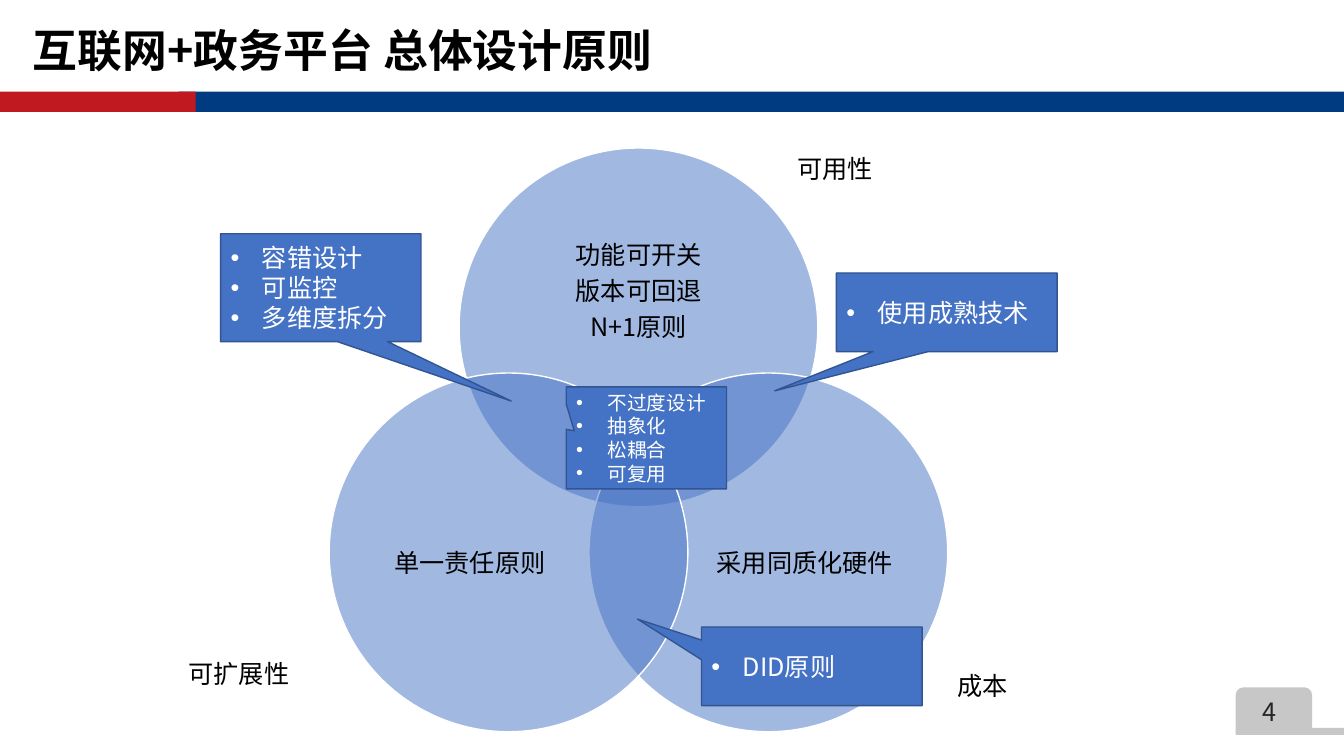
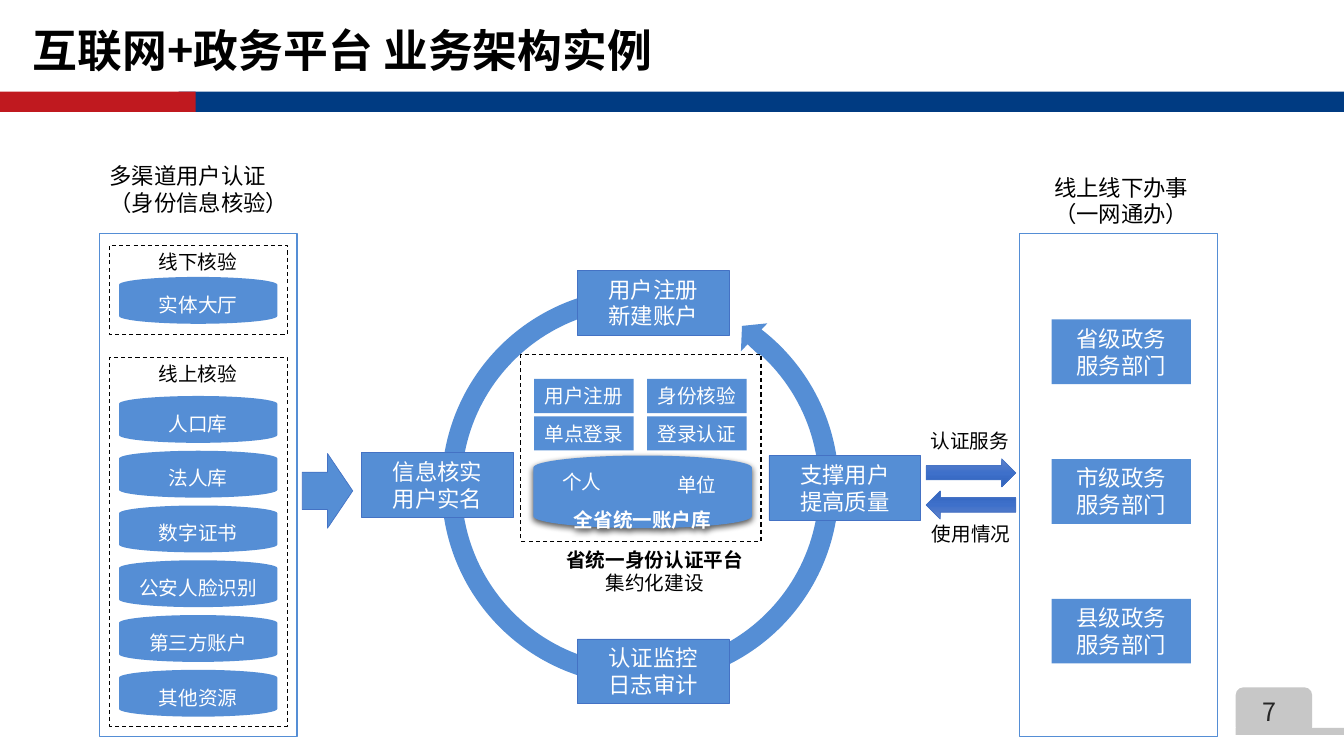
from copy import deepcopy
from dataclasses import dataclass
from math import cos, radians, sin

from lxml import etree
from pptx import Presentation
from pptx.dml.color import RGBColor
from pptx.enum.dml import MSO_LINE
from pptx.enum.shapes import MSO_SHAPE
from pptx.enum.text import MSO_ANCHOR, PP_ALIGN
from pptx.oxml.ns import qn
from pptx.util import Cm, Pt

RECTANGLE = MSO_SHAPE.RECTANGLE
ROUNDED = MSO_SHAPE.ROUNDED_RECTANGLE
DISK = MSO_SHAPE.FLOWCHART_MAGNETIC_DISK
CALLOUT = MSO_SHAPE.RECTANGULAR_CALLOUT
RIGHT_ARROW = MSO_SHAPE.RIGHT_ARROW
DASH = MSO_LINE.DASH
LEFT, CENTER = PP_ALIGN.LEFT, PP_ALIGN.CENTER
TOP, MIDDLE = MSO_ANCHOR.TOP, MSO_ANCHOR.MIDDLE


@dataclass(frozen=True)
class Theme:
    font: str = "Noto Sans CJK SC"
    ink: str = "000000"
    white: str = "FFFFFF"
    number: str = "262626"
    red: str = "C0191F"
    navy: str = "003B82"
    gray: str = "C7C7C7"
    blue: str = "4472C4"
    blue_edge: str = "325491"
    sky: str = "558ED5"
    flow: tuple = ("6183CB", "3E70CA", "3062BB")
    title: int = 32
    body: int = 18
    label: int = 16
    small: int = 14


THEME = Theme()


def draw(page, preset, at, fill=None, line=None, line_width=0.5, dash=None):
    """Add a preset shape, or a text box when preset is None; at is in cm."""
    place = [Cm(value) for value in at]
    if preset is None:
        return page.shapes.add_textbox(*place)
    shape = page.shapes.add_shape(preset, *place)
    shape.shadow.inherit = False
    if fill:
        shape.fill.solid()
        shape.fill.fore_color.rgb = RGBColor.from_string(fill)
    else:
        shape.fill.background()
    if line:
        shape.line.color.rgb = RGBColor.from_string(line)
        shape.line.width = Pt(line_width)
        if dash:
            shape.line.dash_style = dash
    else:
        shape.line.fill.background()
    return shape


def write(shape, lines, size, color=THEME.ink, align=CENTER, anchor=MIDDLE,
          bold_lines=0, wrap=True, spacing=None, after=None, bullet=False):
    """Fill a shape with one paragraph per line; the first bold_lines are bold."""
    frame = shape.text_frame
    frame.word_wrap = wrap
    frame.vertical_anchor = anchor
    for index, line in enumerate(lines):
        para = frame.add_paragraph() if index else frame.paragraphs[0]
        para.alignment = align
        if spacing:
            para.line_spacing = spacing
        if after:
            para.space_after = Pt(after)
        if bullet:
            properties = para._p.get_or_add_pPr()
            properties.set("marL", str(Cm(0.79)))
            properties.set("indent", str(-Cm(0.79)))
            etree.SubElement(properties, qn("a:buFont")).set("typeface", "Arial")
            etree.SubElement(properties, qn("a:buChar")).set("char", "•")
        span = para.add_run()
        span.text = line
        span.font.size = Pt(size)
        span.font.bold = index < bold_lines
        span.font.color.rgb = RGBColor.from_string(color)
        span.font.name = THEME.font
        east_asian = etree.SubElement(span._r.get_or_add_rPr(), qn("a:ea"))
        east_asian.set("typeface", THEME.font)


deck = Presentation()
deck.slide_width, deck.slide_height = Cm(33.87), Cm(19.05)

# Shared bands, page tab and title
pages = []
for title, number in [("互联网+政务平台 总体设计原则", "4"),
                      ("互联网+政务平台 业务架构实例", "7")]:
    page = deck.slides.add_slide(deck.slide_layouts[6])
    draw(page, RECTANGLE, (4.5, 2.31, 29.37, 0.51), THEME.navy)
    draw(page, RECTANGLE, (0, 2.31, 4.93, 0.51), THEME.red)
    draw(page, ROUNDED, (31.14, 17.32, 1.93, 1.19), THEME.gray)
    draw(page, RECTANGLE, (31.14, 18.34, 2.73, 0.18), THEME.gray)
    write(draw(page, None, (31.07, 17.42, 1.85, 1.02)), [number], THEME.body, THEME.number)
    write(draw(page, None, (0.58, 0.43, 27.08, 1.63)), [title], THEME.title,
          align=LEFT, bold_lines=1)
    pages.append(page)
principles, architecture = pages

# Design principles: three circles around a common centre
DIAMETER, REACH = 9.04, 3.78
CENTER_X, CENTER_Y = 16.09, 12.03
circles = [
    (-90, (12.78, 5.33, 6.63, 4.06), ["功能可开关", "版本可回退", "N+1原则"]),
    (30, (17.58, 11.73, 5.41, 4.98), ["采用同质化硬件"]),
    (150, (9.14, 11.73, 5.41, 4.98), ["单一责任原则"]),
]
for angle, text_at, lines in circles:
    left = CENTER_X + REACH * cos(radians(angle)) - DIAMETER / 2
    top = CENTER_Y + REACH * sin(radians(angle)) - DIAMETER / 2
    circle = draw(principles, MSO_SHAPE.OVAL, (left, top, DIAMETER, DIAMETER),
                  THEME.blue, THEME.white, 1)
    color = circle.element.spPr.find(qn("a:solidFill"))[0]
    etree.SubElement(color, qn("a:alpha")).set("val", "50000")
    box = draw(principles, None, text_at)
    frame = box.text_frame
    frame.margin_left = frame.margin_right = frame.margin_top = frame.margin_bottom = 0
    write(box, lines, THEME.body, spacing=0.9, after=6.3)

for left, top, name in [(23.88, 16.76, "成本"), (19.84, 3.73, "可用性"),
                        (4.5, 16.46, "可扩展性")]:
    write(draw(principles, None, (left, top, 3.78, 1.02)), [name], THEME.body, align=LEFT)

callouts = [
    ((5.56, 5.89, 5.05, 2.72), (0.95, 1.05), THEME.body, ["容错设计", "可监控", "多维度拆分"]),
    ((21.08, 6.88, 5.56, 1.98), (-0.78, 1), THEME.body, ["使用成熟技术"]),
    ((17.68, 15.8, 5.56, 1.98), (-0.79, -0.6), THEME.body, ["DID原则"]),
    ((14.27, 9.75, 4.04, 2.57), (-0.45, -0.07), THEME.small,
     ["不过度设计", "抽象化", "松耦合", "可复用"]),
]
for at, tip, size, lines in callouts:
    callout = draw(principles, CALLOUT, at, THEME.blue, THEME.blue_edge, 1)
    callout.adjustments[0], callout.adjustments[1] = tip
    write(callout, lines, size, THEME.white, LEFT, bullet=True)

# Business architecture: ring with its arrowhead
arrowhead = draw(architecture, MSO_SHAPE.DOWN_ARROW, (18.52, 8.08, 0.97, 0.84), THEME.sky)
arrowhead.rotation = 133.3
ring = draw(architecture, MSO_SHAPE.BLOCK_ARC, (11.13, 7.26, 10.01, 10.01), THEME.sky)
ring.rotation = 270
for index, value in enumerate((22.27, 207.47, 0.05)):
    ring.adjustments[index] = value

steps = [
    (9.12, 11.4, ["信息核实", "用户实名"]),
    (19.38, 11.48, ["支撑用户", "提高质量"]),
    (14.55, 16.1, ["认证监控", "日志审计"]),
    (14.55, 6.81, ["用户注册", "新建账户"]),
]
for left, top, lines in steps:
    step = draw(architecture, RECTANGLE, (left, top, 3.82, 1.63), THEME.sky, THEME.blue)
    write(step, lines, THEME.label, THEME.white)

# Side columns and dashed frames
for left in (2.51, 25.7):
    draw(architecture, RECTANGLE, (left, 5.88, 4.98, 12.68), line=THEME.sky, line_width=1)
for at in [(2.76, 6.18, 4.48, 2.25), (2.76, 9, 4.48, 9.3), (13.13, 8.93, 6.05, 4.71)]:
    draw(architecture, RECTANGLE, at, line=THEME.ink, line_width=0.75, dash=DASH)

# Sources of identity data
sources = ["人口库", "法人库", "数字证书", "公安人脸识别", "第三方账户", "其他资源"]
stores = [(6.98, "实体大厅")]
stores += [(9.98 + 1.38 * index, name) for index, name in enumerate(sources)]
for top, name in stores:
    write(draw(architecture, DISK, (3, top, 3.99, 1.18), THEME.sky),
          [name], THEME.small, THEME.white)

# Captions
write(draw(architecture, None, (2.51, 3.94, 5.23, 1.63)),
      ["多渠道用户认证", "（身份信息核验）"], THEME.label, align=LEFT)
captions = [
    ((26.29, 4.24, 3.94, 1.63), ["线上线下办事", "（一网通办）"], THEME.label, 0),
    ((3.73, 6.17, 2.51, 0.86), ["线下核验"], THEME.small, 0),
    ((3.73, 8.99, 2.51, 0.86), ["线上核验"], THEME.small, 0),
    ((23.19, 10.67, 2.51, 0.86), ["认证服务"], THEME.small, 0),
    ((23.22, 13.03, 2.51, 0.86), ["使用情况"], THEME.small, 0),
    ((14, 13.67, 5, 1.45), ["省统一身份认证平台", "集约化建设"], THEME.small, 1),
]
for at, lines, size, bold_lines in captions:
    write(draw(architecture, None, at), lines, size, bold_lines=bold_lines, wrap=False)

# Flow arrows
draw(architecture, RIGHT_ARROW, (7.62, 11.43, 1.27, 1.88), THEME.sky, THEME.blue)
for top, turn in [(11.56, 0), (12.37, 180)]:
    arrow = draw(architecture, RIGHT_ARROW, (23.34, top, 2.26, 0.71), THEME.sky, THEME.blue)
    arrow.rotation = turn
    arrow.fill.gradient()
    arrow.fill.gradient_angle = 270
    stop_list = arrow.element.spPr.find(qn("a:gradFill")).find(qn("a:gsLst"))
    stop_list.append(deepcopy(stop_list[0]))
    for index, stop in enumerate(arrow.fill.gradient_stops):
        stop.position = index / 2
        stop.color.rgb = RGBColor.from_string(THEME.flow[index])

# Service departments
for index, level in enumerate(["省级政务", "市级政务", "县级政务"]):
    department = draw(architecture, RECTANGLE, (26.5, 8.05 + 3.52 * index, 3.51, 1.63), THEME.sky)
    write(department, [level, "服务部门"], THEME.label, THEME.white)

# Unified account store and platform functions
accounts = draw(architecture, DISK, (13.44, 11.48, 5.51, 1.83), THEME.sky)
shadow = etree.SubElement(accounts.element.spPr.find(qn("a:effectLst")), qn("a:outerShdw"),
                          blurRad=str(Pt(4.5)), dist=str(Pt(1.5)), dir="5400000",
                          algn="ctr", rotWithShape="0")
shade = etree.SubElement(shadow, qn("a:srgbClr"), val=THEME.ink)
etree.SubElement(shade, qn("a:alpha"), val="63000")
write(accounts, ["全省统一账户库"], THEME.small, THEME.white, anchor=TOP,
      bold_lines=1, spacing=2.0)
for left, top, name in [(13.51, 11.61, "个人"), (16.41, 11.68, "单位")]:
    write(draw(architecture, DISK, (left, top, 2.31, 0.9), THEME.sky),
          [name], THEME.small, THEME.white)

for index, name in enumerate(["用户注册", "身份核验", "单点登录", "登录认证"]):
    row, column = divmod(index, 2)
    tile = draw(architecture, RECTANGLE,
                (13.46 + 2.85 * column, 9.55 + 0.94 * row, 2.51, 0.86), THEME.sky)
    write(tile, [name], THEME.small, THEME.white, wrap=False)

deck.save("out.pptx")
